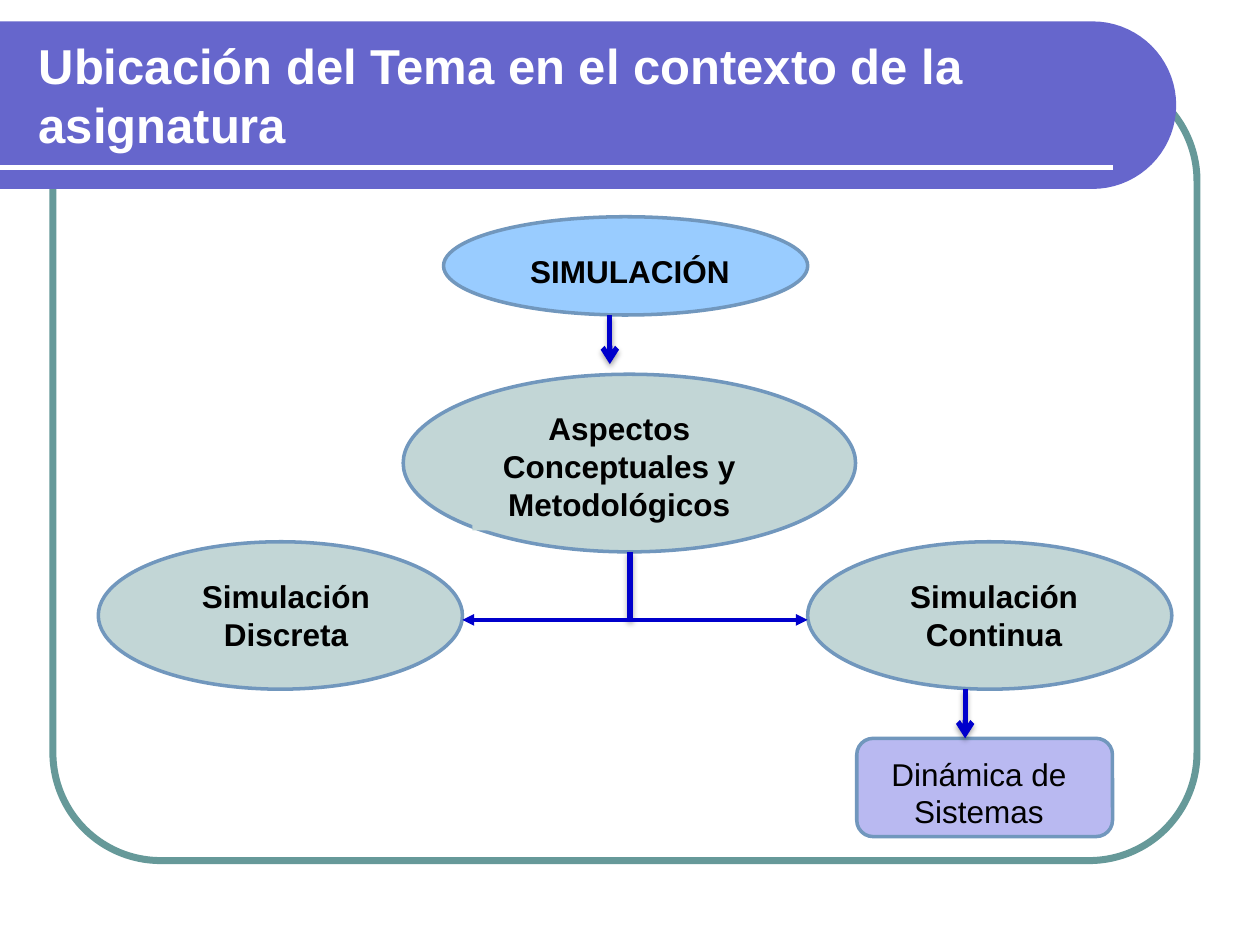
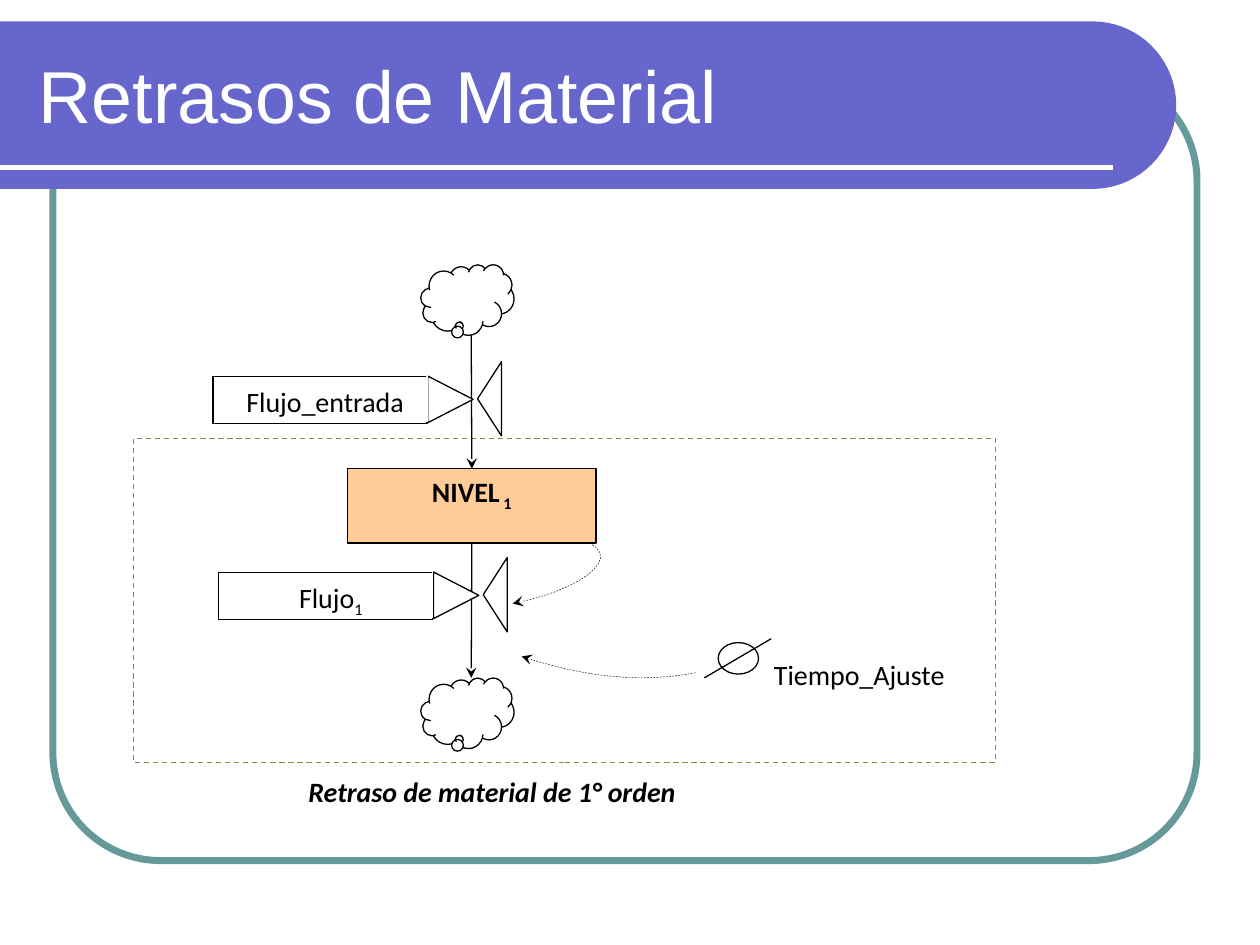
import math

from lxml import etree
from pptx import Presentation
from pptx import util as u
from pptx.dml import color
from pptx.enum import dml, shapes, text
from pptx.oxml import ns

COLS, ROWS = 100, 75
GEO = shapes.MSO_SHAPE
MID = text.MSO_ANCHOR.MIDDLE
LEFT, CENTER = text.PP_ALIGN.LEFT, text.PP_ALIGN.CENTER

WHITE, BLACK = "FFFFFF", "000000"
BAND, FRAME = "6666CC", "669999"
EDGE, SAGE, ARROW = "7197BD", "C2D6D6", "0000CC"
BOLD = {"name": "Arial", "size": u.Pt(18), "bold": True}
PLAIN = {"name": "Arial", "size": u.Pt(18)}
NOTE = {"name": "Calibri", "size": u.Pt(16)}
LOUD = {**NOTE, "bold": True}


def tint(code):
    return color.RGBColor.from_string(code)


def bend(start, one, two, end, steps=12):
    """Points on a cubic curve."""
    parts = [n / steps for n in range(steps + 1)]
    return [tuple((1 - t) ** 3 * a + 3 * (1 - t) ** 2 * t * b
                  + 3 * (1 - t) * t ** 2 * c + t ** 3 * d
                  for a, b, c, d in zip(start, one, two, end)) for t in parts]


class Deck:
    def __init__(self):
        self.prs = Presentation()
        self.prs.slide_width, self.prs.slide_height = u.Inches(10), u.Inches(7.5)
        self.slide = None

    def x(self, col):
        return round(self.prs.slide_width * col / COLS)

    def y(self, row):
        return round(self.prs.slide_height * row / ROWS)

    def area(self, at):
        left, top, wide, high = at
        return self.x(left), self.y(top), self.x(wide), self.y(high)

    # Fill, outline and arrowheads
    def paint(self, item, fill=None, edge=None, width=0.75, dash=False):
        item.shadow.inherit = False
        if fill:
            item.fill.solid()
            item.fill.fore_color.rgb = tint(fill)
        else:
            item.fill.background()
        if edge:
            self.stroke(item, edge, width, dash)
        else:
            item.line.fill.background()

    def stroke(self, item, edge, width, dash=False, head=None, tail=None):
        item.line.color.rgb = tint(edge)
        item.line.width = u.Pt(width)
        if dash:
            item.line.dash_style = dml.MSO_LINE.DASH
        pen = item.element.spPr.find(ns.qn("a:ln"))
        for tag, kind in (("a:headEnd", head), ("a:tailEnd", tail)):
            if kind:
                etree.SubElement(pen, ns.qn(tag), type=kind)

    # Text; runs after the first are subscripts
    def fill_in(self, item, runs, font, hue=BLACK, align=CENTER, anchor=text.MSO_ANCHOR.TOP):
        frame = item.text_frame
        frame.word_wrap, frame.vertical_anchor = True, anchor
        para = frame.paragraphs[0]
        para.alignment = align
        for words in runs:
            run = para.add_run()
            run.text = words
            for key, value in font.items():
                setattr(run.font, key, value)
            run.font.color.rgb = tint(hue)
        for mark in list(item.element.iter(ns.qn("a:rPr")))[1:]:
            mark.set("baseline", "-25000")

    def label(self, at, runs, font, fill=None, **style):
        box = self.slide.shapes.add_textbox(*self.area(at))
        if fill:
            box.fill.solid()
            box.fill.fore_color.rgb = tint(fill)
        self.fill_in(box, runs, font, **style)

    # Shapes
    def shape(self, kind, at, turn=0, adj=(), **look):
        item = self.slide.shapes.add_shape(kind, *self.area(at))
        item.rotation = turn
        for n, value in enumerate(adj):
            item.adjustments[n] = value
        self.paint(item, **look)
        return item

    def outline(self, points, close):
        spots = [(self.x(a), self.y(b)) for a, b in points]
        build = self.slide.shapes.build_freeform(*spots[0])
        build.add_line_segments(spots[1:], close=close)
        return build.convert_to_shape()

    def curve(self, *knots):
        item = self.outline(bend(*knots), False)
        self.paint(item)
        self.stroke(item, BLACK, 0.25, dash=True, tail="stealth")

    def line(self, start, end, edge=BLACK, width=0.75, head=None, tail=None,
             glow=False, source=None, target=None):
        item = self.slide.shapes.add_connector(
            shapes.MSO_CONNECTOR.STRAIGHT, self.x(start[0]), self.y(start[1]),
            self.x(end[0]), self.y(end[1]))
        if source:
            item.begin_connect(source, 2)
        if target:
            item.end_connect(target, 0)
        self.stroke(item, edge, width, head=head, tail=tail)
        effect = etree.SubElement(item.element.spPr, ns.qn("a:effectLst"))
        if glow:
            shade = etree.SubElement(effect, ns.qn("a:outerShdw"), blurRad=str(u.Pt(3.1)),
                                     dist=str(u.Pt(1.8)), dir="5400000", rotWithShape="0")
            hue = etree.SubElement(shade, ns.qn("a:srgbClr"), val=BLACK)
            etree.SubElement(hue, ns.qn("a:alpha"), val="35000")

    # Frame, band, rule and title of every slide
    def page(self, title, size, bold=False):
        self.slide = self.prs.slides.add_slide(self.prs.slide_layouts[6])
        self.shape(GEO.ROUNDED_RECTANGLE, (4.2, 5.8, 90.8, 62.5), adj=[0.137],
                   edge=FRAME, width=4)
        turns = [math.radians(a) for a in range(-90, 91, 5)]
        cap = [(86.7 + 6.65 * math.cos(a), 8.35 + 6.65 * math.sin(a)) for a in turns]
        self.paint(self.outline([(0, 1.7), *cap, (0, 15)], True), fill=BAND)
        self.line((0, 13.3), (88.3, 13.3), WHITE, 3)
        self.label((2.1, 2.5, 87, 10), [title],
                   {"name": "Arial", "size": u.Pt(size), "bold": bold},
                   hue=WHITE, align=LEFT, anchor=MID)


def context(deck):
    deck.page("Ubicación del Tema en el contexto de la asignatura", 28, True)

    # Topics: oval, its fill, label place, label fill, words
    topics = [
        ((35.2, 17.2, 28.9, 7.8), "99CCFF", (40.6, 19.5, 18.8, 4), None, "SIMULACIÓN"),
        ((7.8, 43, 28.9, 11.7), SAGE, (13.3, 45.3, 18.8, 7.1), SAGE, "Simulación Discreta"),
        ((32, 29.7, 35.9, 14.1), SAGE, (37.5, 32, 23.3, 10.1), SAGE,
         "Aspectos Conceptuales y Metodológicos"),
        ((64.1, 43, 28.9, 11.7), SAGE, (69.5, 45.3, 18.8, 7.1), SAGE, "Simulación Continua"),
    ]
    for oval, fill, spot, back, words in topics:
        deck.shape(GEO.OVAL, oval, fill=fill, edge=EDGE, width=2)
        deck.label(spot, [words], BOLD, fill=back)
    deck.shape(GEO.ROUNDED_RECTANGLE, (68, 58.6, 20.3, 7.8), fill="B9B9F1", edge=EDGE, width=2)
    deck.label((69.5, 59.4, 16.4, 7.1), ["Dinámica de Sistemas"], PLAIN)

    # Arrows
    for col, top, end, tail in ((48.4, 25, 28.9, "arrow"), (50, 43.8, 49.2, None),
                                (76.6, 54.7, 58.6, "arrow")):
        deck.line((col, top), (col, end), ARROW, 3, tail=tail, glow=True)
    deck.line((36.7, 49.2), (64.1, 49.2), ARROW, 2.25, head="triangle", tail="triangle")


def delay(deck):
    deck.page("Retrasos de Material", 42)
    ink = {"fill": WHITE, "edge": BLACK}

    # Adjustment time
    deck.curve((55.2, 53.4), (51, 54.2), (46.5, 53.8), (41.4, 52.1))
    deck.label((56.4, 51.7, 23.6, 3.8), ["Tiempo_Ajuste"], NOTE)
    deck.shape(GEO.OVAL, (57, 51, 3.2, 2.5), **ink)
    deck.line((55.9, 53.8), (61.2, 50.7))

    # System border, source cloud and level
    deck.shape(GEO.RECTANGLE, (10.6, 34.8, 68.4, 25.7), edge="76923C", dash=True)
    cloud = {"adj": (-0.08, 0.343), **ink}
    deck.shape(GEO.CLOUD_CALLOUT, (33.4, 21, 7.4, 5.6), **cloud)
    level = deck.shape(GEO.RECTANGLE, (27.6, 37.2, 19.7, 5.9), fill="FFCC99", edge=BLACK)
    deck.fill_in(level, ["NIVEL", " 1"], LOUD)
    deck.line((37.4, 26.6), (37.4, 37.2), tail="stealth", target=level)
    deck.line((37.4, 43.1), (37.4, 53.8), tail="stealth", source=level)

    # Valves with their flow names
    for left, top, runs in ((16.9, 29.9, ["Flujo_entrada"]), (17.35, 45.45, ["Flujo", "1"])):
        deck.shape(GEO.FLOWCHART_PROCESS, (left, top, 17, 3.7), **ink)
        deck.shape(GEO.ISOSCELES_TRIANGLE, (left + 19, top + 0.8, 5.9, 1.9), turn=270, **ink)
        deck.shape(GEO.ISOSCELES_TRIANGLE, (left + 17, top, 3.7, 3.6), turn=90, **ink)
        deck.line((left + 17, top - 0.1), (left + 17, top + 3.6), WHITE)
        deck.label((left - 1.2, top + 0.1, 20.2, 3.8), runs, NOTE)

    # Feedback, sink cloud and caption
    deck.curve((46.8, 43.1), (49.5, 44.5), (45.5, 47), (40.7, 47.9))
    deck.shape(GEO.CLOUD_CALLOUT, (33.4, 53.8, 7.4, 5.6), **cloud)
    deck.label((23.5, 61, 42.6, 5.6), ["Retraso de material de 1° orden"],
               {**LOUD, "italic": True}, align=LEFT)


def main():
    deck = Deck()
    context(deck)
    delay(deck)
    deck.prs.save("out.pptx")


if __name__ == "__main__":
    main()
